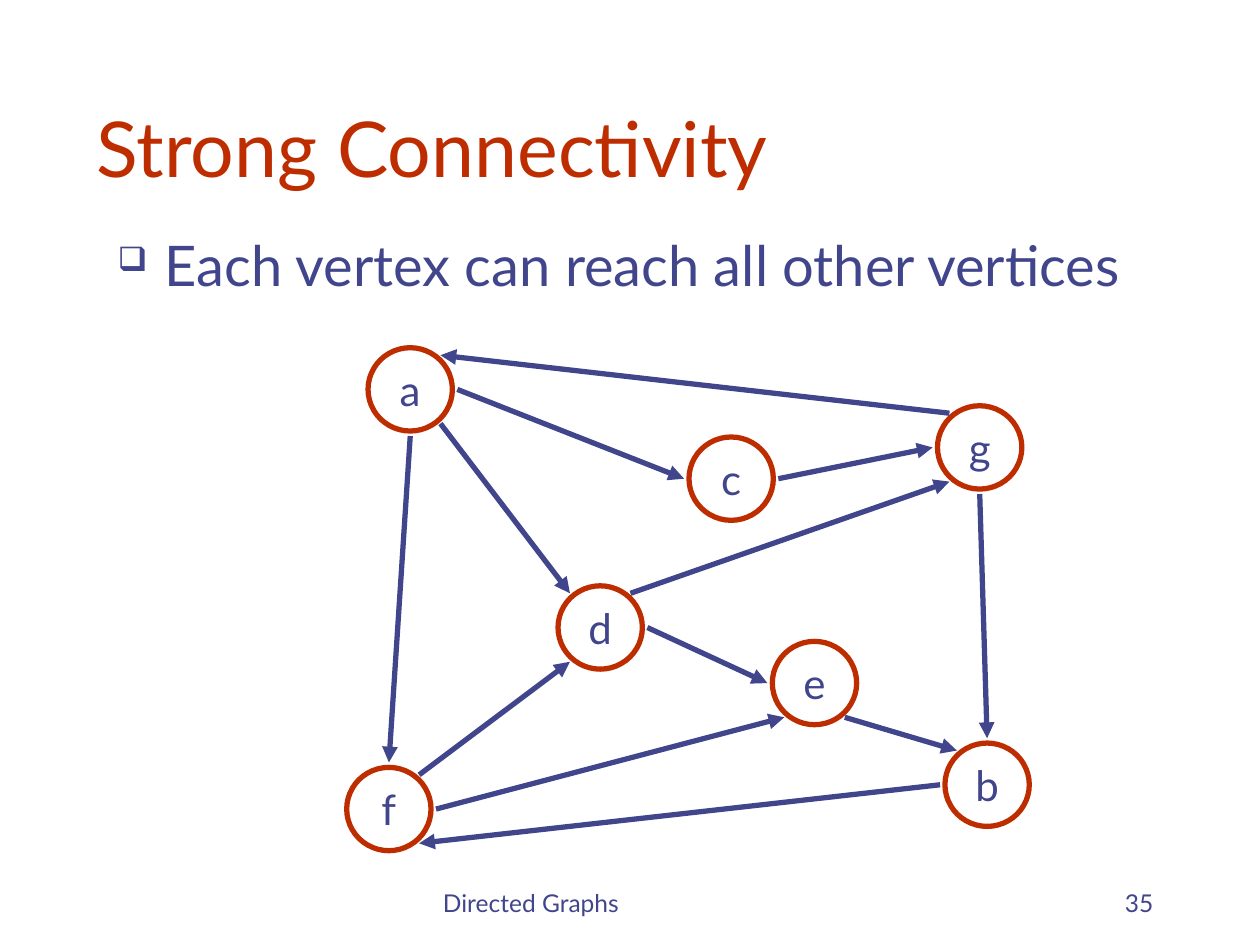
import pptx
import pptx.util
import pptx.dml.color
import pptx.enum.shapes
import pptx.enum.text
import pptx.oxml.ns
from lxml import etree

Cm, Pt = pptx.util.Cm, pptx.util.Pt
Align = pptx.enum.text.PP_ALIGN
Anchor = pptx.enum.text.MSO_ANCHOR
qn = pptx.oxml.ns.qn
INKS = {"red": "BE2D00", "blue": "40458C", "white": "FFFFFF"}


def ink(name):
    return pptx.dml.color.RGBColor.from_string(INKS[name])


def style(para, size, hue, align):
    para.alignment = align
    para.font.name = "Lato"
    para.font.size = Pt(size)
    para.font.color.rgb = ink(hue)


deck = pptx.Presentation()
deck.slide_width, deck.slide_height = Cm(25.4), Cm(19.05)
slide = deck.slides.add_slide(deck.slide_layouts[6])

# Title, bullet and footer: text, box in cm, size, colour, alignment, anchor
texts = [
    ("Strong Connectivity", (1.7, 0.85, 21.6, 3.17), 44, "red", Align.LEFT, Anchor.BOTTOM),
    ("Each vertex can reach all other vertices", (2.12, 4.52, 21.16, 3.3), 32, "blue", Align.LEFT, Anchor.TOP),
    ("Directed Graphs", (8.68, 17.35, 8.05, 1.27), 14, "blue", Align.LEFT, Anchor.BOTTOM),
    ("35", (18.2, 17.35, 5.3, 1.27), 14, "blue", Align.RIGHT, Anchor.BOTTOM),
]
for text, area, size, hue, align, anchor in texts:
    box = slide.shapes.add_textbox(*map(Cm, area))
    frame = box.text_frame
    frame.word_wrap = True
    frame.vertical_anchor = anchor
    para = frame.paragraphs[0]
    para.text = text
    if size == 32:
        props = para._p.get_or_add_pPr()
        props.set("marL", str(Cm(0.95)))
        props.set("indent", str(-Cm(0.95)))
        tint = etree.SubElement(props, qn("a:buClr"))
        etree.SubElement(tint, qn("a:srgbClr"), val=INKS["blue"])
        etree.SubElement(props, qn("a:buSzPct"), val="60000")
        etree.SubElement(props, qn("a:buChar"), char="❑")
    style(para, size, hue, align)

# Vertex centres in cm
nodes = {
    "a": (8.27, 7.85), "d": (12.1, 12.65), "c": (14.74, 9.65), "b": (19.9, 15.82),
    "e": (16.42, 13.77), "f": (7.84, 16.31), "g": (19.75, 9.02),
}
wide, high = 1.7, 1.68
for name, (x, y) in nodes.items():
    disc = slide.shapes.add_shape(
        pptx.enum.shapes.MSO_SHAPE.OVAL,
        Cm(x - wide / 2), Cm(y - high / 2), Cm(wide), Cm(high))
    disc.shadow.inherit = False
    disc.fill.solid()
    disc.fill.fore_color.rgb = ink("white")
    disc.line.color.rgb = ink("red")
    disc.line.width = Pt(3)
    frame = disc.text_frame
    frame.word_wrap = False
    frame.vertical_anchor = Anchor.MIDDLE
    frame.text = name
    style(frame.paragraphs[0], 24, "blue", Align.CENTER)

# Offsets from a vertex centre to where an edge meets it, by compass point
ports = {
    "n": (0, -0.94), "s": (0, 0.94), "e": (0.95, 0), "w": (-0.95, 0),
    "ne": (0.61, -0.69), "nw": (-0.61, -0.69), "se": (0.61, 0.69), "sw": (-0.61, 0.69),
}
edges = [
    ("a", "s", "f", "n"), ("a", "se", "d", "nw"), ("a", "e", "c", "w"),
    ("g", "nw", "a", "ne"), ("c", "e", "g", "w"), ("g", "s", "b", "n"),
    ("d", "e", "e", "w"), ("e", "se", "b", "nw"), ("f", "ne", "d", "sw"),
    ("f", "e", "e", "sw"), ("b", "w", "f", "se"), ("d", "ne", "g", "sw"),
]
for start, out, end, into in edges:
    ends = [Cm(mid + gap)
            for node, port in ((start, out), (end, into))
            for mid, gap in zip(nodes[node], ports[port])]
    edge = slide.shapes.add_connector(pptx.enum.shapes.MSO_CONNECTOR.STRAIGHT, *ends)
    edge.line.color.rgb = ink("blue")
    edge.line.width = Pt(3)
    etree.SubElement(edge.line._get_or_add_ln(), qn("a:tailEnd"), type="triangle")
    etree.SubElement(edge._element.spPr, qn("a:effectLst"))

deck.save("out.pptx")
